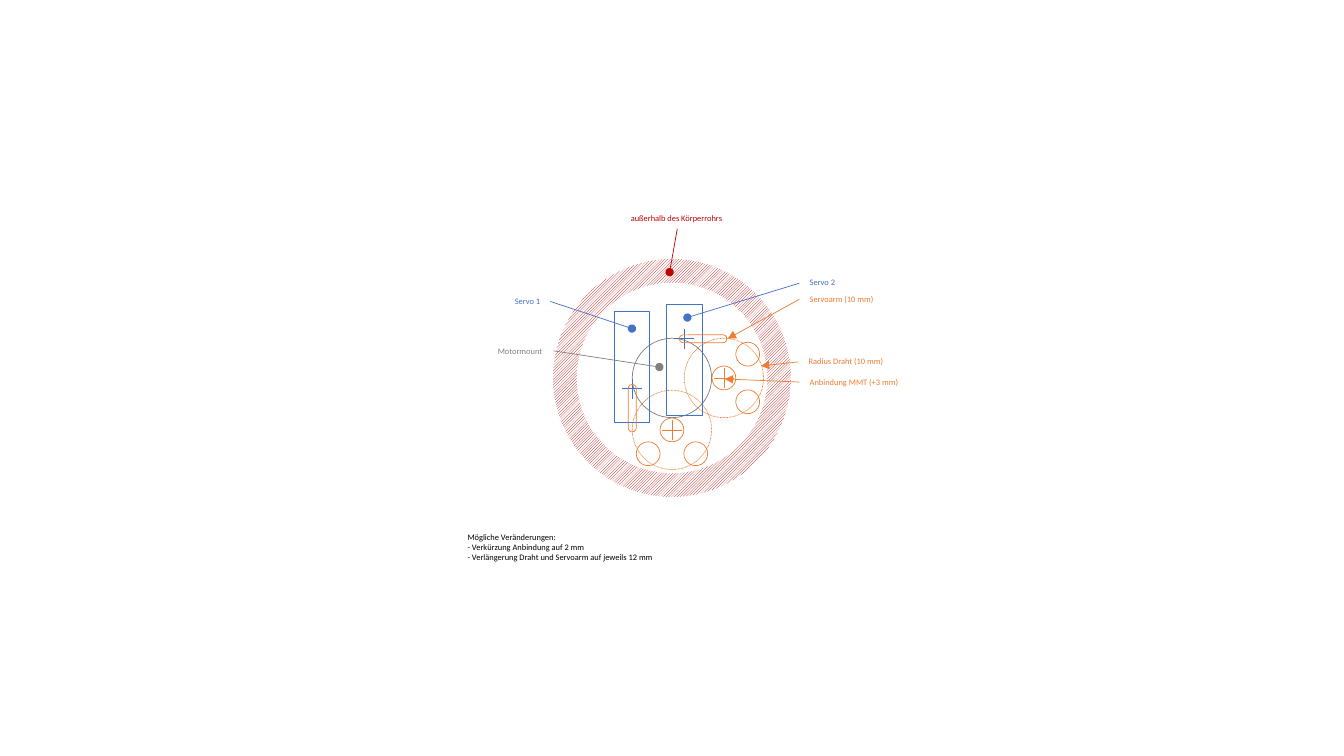
"""Build the slide showing the servo layout inside the body tube."""
from pptx import Presentation
from pptx.dml.color import RGBColor
from pptx.enum.dml import MSO_LINE, MSO_PATTERN
from pptx.enum.shapes import MSO_CONNECTOR, MSO_SHAPE
from pptx.enum.text import MSO_AUTO_SIZE
from pptx.oxml.ns import qn
from pptx.util import Pt
from lxml.etree import SubElement

RED = RGBColor(0xC0, 0x00, 0x00)
ORANGE = RGBColor(0xED, 0x7D, 0x31)
BLUE = RGBColor(0x44, 0x72, 0xC4)
GREY = RGBColor(0x80, 0x80, 0x80)
BLACK = RGBColor(0x00, 0x00, 0x00)
WHITE = RGBColor(0xFF, 0xFF, 0xFF)

CENTER = (480, 270)
TUBE_OUTER, TUBE_INNER = 170, 136
MOUNT, WIRE, HOLE = 56.7, 17, 17
JOINT_OFFSET = 37.1
CROSS_ARM = 7.1
SERVO_SIZE = (25.5, 79.4)
ARM_SIZE = (34, 5.7)
LINE_WIDTH, FONT_SIZE = 0.5, 6

JOINTS = [
    {"direction": (0, 1), "wire_ends": [(-1, 1), (1, 1)]},
    {"direction": (1, 0), "wire_ends": [(1, 1), (1, -1)]},
]
SERVOS = [
    {"center": (451.4, 262.2), "axis": (451.6, 277.7), "arm": (451.6, 291.6), "turn": 90},
    {"center": (488.7, 257), "axis": (488.5, 242), "arm": (502.2, 242), "turn": 180},
]
LABELS = [
    (["Servo 1"], BLUE, (360.7, 208.1, 33.1, 14.5)),
    (["Servo 2"], BLUE, (571.3, 194.3, 33.1, 14.5)),
    (["Motormount"], GREY, (348.5, 243.6, 46.8, 14.5)),
    (["außerhalb des Körperrohrs"], RED, (443.5, 149, 80.6, 14.5)),
    (["Servoarm (10 mm)"], ORANGE, (571.3, 206.9, 60.5, 14.5)),
    (["Radius Draht (10 mm)"], ORANGE, (570.5, 250.6, 68.4, 14.5)),
    (["Anbindung MMT (+3 mm)"], ORANGE, (571.3, 265.7, 78.5, 14.5)),
    (["Mögliche Veränderungen:",
      "- Verkürzung Anbindung auf 2 mm",
      "- Verlängerung Draht und Servoarm auf jeweils 12 mm"],
     BLACK, (326.9, 376.6, 148.3, 28.8)),
]
POINTERS = [
    ((393.1, 215.3), (451.4, 234.7), BLUE, "oval"),
    ((395.3, 250.6), (471, 262.2), GREY, "oval"),
    ((483.8, 163.4), (478.3, 194.4), RED, "oval"),
    ((571, 202.3), (491, 226.8), BLUE, "oval"),
    ((571, 213.8), (519.8, 241.9), ORANGE, "triangle"),
    ((570.2, 258.5), (543.6, 261.4), ORANGE, "triangle"),
    ((571, 272.9), (517.7, 270.7), ORANGE, "triangle"),
]

deck = Presentation()
deck.slide_width, deck.slide_height = Pt(960), Pt(540)
page = deck.slides.add_slide(deck.slide_layouts[6])


def add_outline(kind, center, size, color=None, dash=None):
    (x, y), (width, height) = center, size
    shape = page.shapes.add_shape(
        kind, Pt(x - width / 2), Pt(y - height / 2), Pt(width), Pt(height))
    shape.shadow.inherit = False
    shape.fill.background()
    if color is None:
        shape.line.fill.background()
    else:
        shape.line.color.rgb = color
        shape.line.width = Pt(LINE_WIDTH)
        if dash:
            shape.line.dash_style = dash
    return shape


def add_circle(center, diameter, color=None, dash=None):
    return add_outline(MSO_SHAPE.OVAL, center, (diameter, diameter), color, dash)


def add_line(start, end, color, tip=None):
    line = page.shapes.add_connector(
        MSO_CONNECTOR.STRAIGHT, *[Pt(value) for value in (*start, *end)])
    line.line.color.rgb = color
    line.line.width = Pt(LINE_WIDTH)
    if tip:
        SubElement(line.get_or_add_ln(), qn("a:tailEnd"), type=tip)
    SubElement(line._element.spPr, qn("a:effectLst"))


def add_cross(center, color):
    x, y = center
    add_line((x, y - CROSS_ARM), (x, y + CROSS_ARM), color)
    add_line((x - CROSS_ARM, y), (x + CROSS_ARM, y), color)


def add_label(lines, color, place):
    box = page.shapes.add_textbox(*[Pt(value) for value in place])
    frame = box.text_frame
    frame.word_wrap = False
    frame.auto_size = MSO_AUTO_SIZE.SHAPE_TO_FIT_TEXT
    for index, line in enumerate(lines):
        para = frame.add_paragraph() if index else frame.paragraphs[0]
        span = para.add_run()
        span.text = line
        for name, value in {"name": "Calibri", "size": Pt(FONT_SIZE)}.items():
            setattr(span.font, name, value)
        span.font.color.rgb = color


tube = add_circle(CENTER, TUBE_OUTER)
tube.fill.patterned()
tube.fill.pattern = MSO_PATTERN.LIGHT_UPWARD_DIAGONAL
tube.fill.fore_color.rgb, tube.fill.back_color.rgb = RED, WHITE
interior = add_circle(CENTER, TUBE_INNER)
interior.fill.solid()
interior.fill.fore_color.rgb = WHITE
add_circle(CENTER, MOUNT, GREY)

for joint in JOINTS:
    x, y = [origin + JOINT_OFFSET * step
            for origin, step in zip(CENTER, joint["direction"])]
    add_cross((x, y), ORANGE)
    add_circle((x, y), HOLE, ORANGE)
    for across, down in joint["wire_ends"]:
        add_circle((x + WIRE * across, y + WIRE * down), HOLE, ORANGE)
    add_circle((x, y), MOUNT, ORANGE, MSO_LINE.ROUND_DOT)

for servo in SERVOS:
    add_outline(MSO_SHAPE.RECTANGLE, servo["center"], SERVO_SIZE, BLUE)
    add_cross(servo["axis"], BLUE)
    arm = add_outline(MSO_SHAPE.ROUNDED_RECTANGLE, servo["arm"], ARM_SIZE, ORANGE)
    arm.adjustments[0] = 0.5
    arm.rotation = servo["turn"]

for pointer in POINTERS:
    add_line(*pointer)
for label in LABELS:
    add_label(*label)

deck.save("out.pptx")
